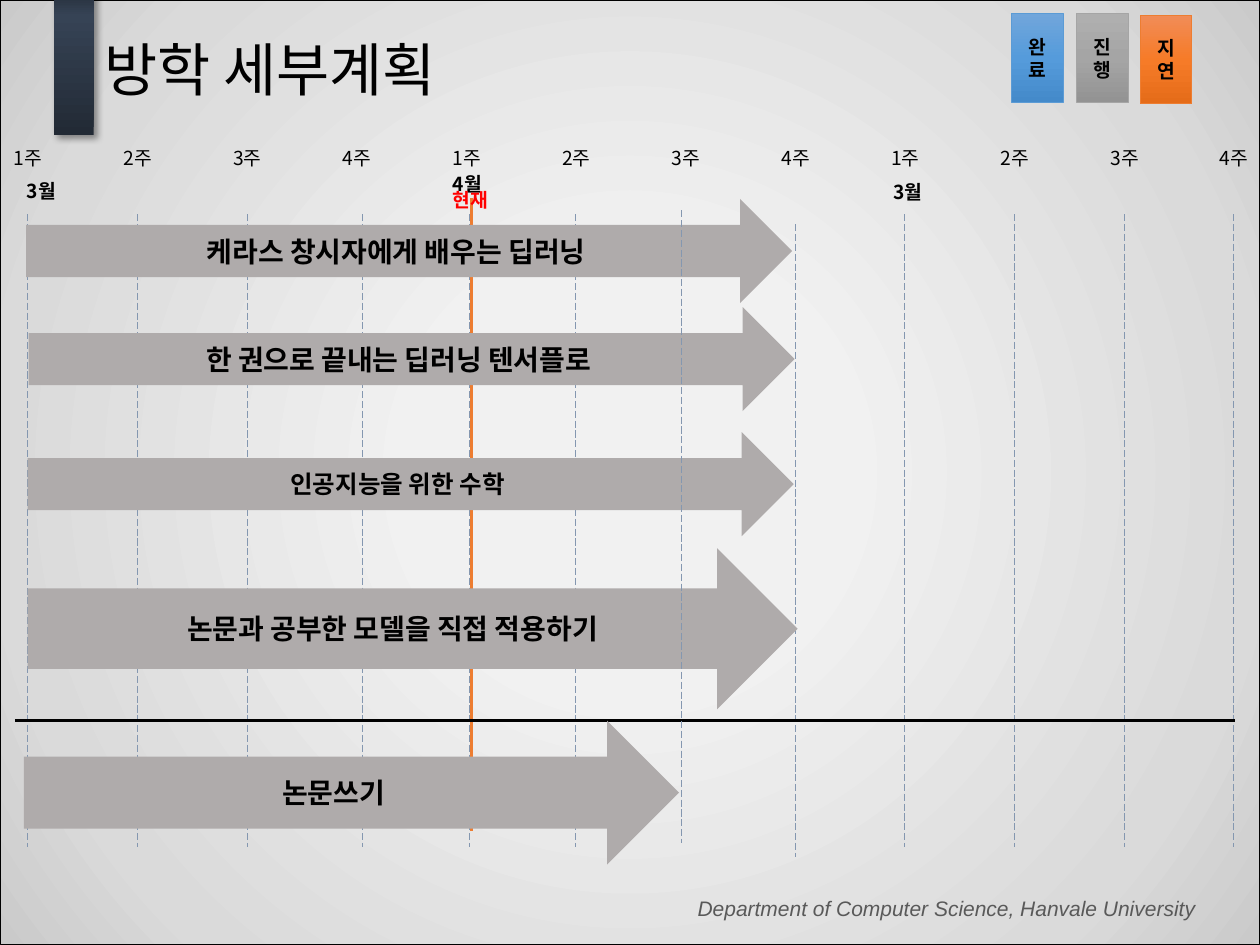
import lxml.etree
import pptx
import pptx.dml.color
import pptx.enum.dml
import pptx.enum.shapes
import pptx.enum.text
import pptx.oxml
import pptx.oxml.ns
import pptx.util

Cm, Pt = pptx.util.Cm, pptx.util.Pt
SHAPE = pptx.enum.shapes.MSO_SHAPE
ALIGN = pptx.enum.text.PP_ALIGN
ANCHOR = pptx.enum.text.MSO_ANCHOR
KOREAN = "Noto Sans CJK KR"
NAMESPACE = pptx.oxml.ns.nsdecls("a")
WEEK_STEP = 2.21


def colour(value):
    return pptx.dml.color.RGBColor.from_string(value)


def write(shape, text, size, shade="000000", bold=False, italic=False,
          font=KOREAN, align=ALIGN.CENTER, anchor=ANCHOR.MIDDLE, side=0.0):
    frame = shape.text_frame
    frame.word_wrap = True
    frame.vertical_anchor = anchor
    frame.margin_left = frame.margin_right = Cm(side)
    para = frame.paragraphs[0]
    para.text = text
    para.alignment = align
    for span in para.runs:
        span.font.size = Pt(size)
        span.font.bold = bold
        span.font.italic = italic
        span.font.color.rgb = colour(shade)
        span.font.name = font
        properties = span.font.latin if hasattr(span.font, "latin") else span.font._element
        east_asian = lxml.etree.SubElement(properties, pptx.oxml.ns.qn("a:ea"))
        east_asian.set("typeface", font)
    return para


def add_label(page, box, text, size, **style):
    label = page.shapes.add_textbox(*map(Cm, box))
    write(label, text, size, **style)


def add_box(page, box, kind=SHAPE.RECTANGLE, fill=None, outline=None):
    shape = page.shapes.add_shape(kind, *map(Cm, box))
    shape.shadow.inherit = False
    if fill:
        shape.fill.solid()
        shape.fill.fore_color.rgb = colour(fill)
    if outline:
        shape.line.color.rgb = colour(outline)
        shape.line.width = Pt(0.5)
    else:
        shape.line.fill.background()
    return shape


def shade_gradient(shape, stops, direction):
    stop_xml = "".join(
        f'<a:gs pos="{position * 1000}"><a:srgbClr val="{value}"/></a:gs>'
        for position, value in stops)
    gradient = pptx.oxml.parse_xml(
        f'<a:gradFill {NAMESPACE} rotWithShape="1">'
        f"<a:gsLst>{stop_xml}</a:gsLst>{direction}</a:gradFill>")
    shape.fill.background()
    plain = shape.element.spPr.find(pptx.oxml.ns.qn("a:noFill"))
    shape.element.spPr.replace(plain, gradient)


def linear(degrees):
    return f'<a:lin ang="{degrees * 60000}" scaled="0"/>'


def add_line(page, start, end, shade, width, dash=None):
    line = page.shapes.add_connector(
        pptx.enum.shapes.MSO_CONNECTOR.STRAIGHT, *map(Cm, start + end))
    line.line.color.rgb = colour(shade)
    line.line.width = Pt(width)
    if dash:
        line.line.dash_style = dash
    lxml.etree.SubElement(line.element.spPr, pptx.oxml.ns.qn("a:effectLst"))


def add_backdrop(page, box):
    left, top, width, height = box
    backdrop = add_box(page, box, outline="000000")
    shade_gradient(
        backdrop, [(27, "F1F1F1"), (80, "DADADA"), (100, "CACACA")],
        '<a:path path="circle"><a:fillToRect l="50000" t="50000" r="50000" b="50000"/></a:path>')
    # Footer
    add_label(page, (left + 4.9, top + height - 1.12, 19.46, 0.76),
              "Department of Computer Science, Hanvale University", 12,
              shade="595959", italic=True, font="Arial", align=ALIGN.RIGHT,
              anchor=ANCHOR.TOP, side=0.25)
    # Ribbon beside the title
    ribbon = add_box(page, (left + 1.09, top - 0.28, 0.8, 3))
    shade_gradient(ribbon, [(0, "222A35"), (80, "364355"), (100, "222A35")], linear(270))
    effects = ribbon.element.spPr.find(pptx.oxml.ns.qn("a:effectLst"))
    effects.append(pptx.oxml.parse_xml(
        f'<a:outerShdw {NAMESPACE} blurRad="50800" dist="38100" dir="2700000">'
        '<a:srgbClr val="000000"><a:alpha val="40000"/></a:srgbClr></a:outerShdw>'))


def place_title(page, box, text):
    title = page.shapes.title
    page.shapes.element.append(title.element)  # bring above the backdrop
    title.left, title.top, title.width, title.height = map(Cm, box)
    title.text_frame.auto_size = pptx.enum.text.MSO_AUTO_SIZE.NONE
    para = write(title, text, 33, align=ALIGN.LEFT, side=0.25)
    para.line_spacing = 0.9


def add_legend(page, box):
    left, top, width, height = box
    states = [
        ("완\v료", 0, 0, "5B9BD5", ("71A6DB", "559BDB", "448ACA")),
        ("진\v행", 1.3, 0, "A5A5A5", ("AFAFAF", "A5A5A5", "939393")),
        ("지\v연", 2.59, 0.03, "ED7D31", ("F18C57", "F67B28", "E56C19")),
    ]
    for text, across, down, outline, shades in states:
        key = add_box(page, (left + across, top + down, width, height), outline=outline)
        shade_gradient(key, list(zip((0, 50, 100), shades)), linear(90))
        write(key, text, 11, bold=True)


def add_timeline(page, box):
    left, top, width, height = box
    # Weeks whose guide sits off the regular grid: (across, down)
    nudges = {3: (0.11, 0), 4: (0.07, 0), 6: (-0.08, -0.08), 7: (0, 0.2)}
    for week in range(12):
        centre = left + week * WEEK_STEP
        across, down = nudges.get(week, (0, 0))
        x, y = centre + across, top + down
        add_line(page, (x, y), (x, y + height), "8497B0", 0.5,
                 pptx.enum.dml.MSO_LINE.LONG_DASH)
        add_label(page, (centre - 0.74, top - 1.5, 1.5, 0.74), f"{week % 4 + 1}주", 11,
                  anchor=ANCHOR.TOP, side=0.25)
    # Months
    for text, x, y in [("3월", -0.97, -0.84), ("4월", 7.62, -0.97), ("3월", 16.5, -0.81)]:
        add_label(page, (left + x, top + y, 2.49, 0.74), text, 11, bold=True,
                  anchor=ANCHOR.TOP, side=0.25)
    # Divider above the writing task
    add_line(page, (left - 0.26, top + 10.21), (left + width + 0.02, top + 10.21),
             "000000", 1.5)
    add_label(page, (left + 8.36, top - 0.64, 1.14, 0.69), "현재", 11,
              shade="FF0000", bold=True)


def add_tasks(page, box):
    left, top = box[:2]
    tasks = [
        ("케라스 창시자에게 배우는 딥러닝", 16, (0, 0, 15.44, 2.1)),
        ("한 권으로 끝내는 딥러닝 텐서플로", 16, (0.05, 2.18, 15.44, 2.1)),
        ("인공지능을 위한 수학", 14, (0.03, 4.7, 15.44, 2.1)),
        ("논문과 공부한 모델을 직접 적용하기", 16, (0.03, 7.04, 15.52, 3.25)),
        ("논문쓰기", 16, (-0.05, 10.52, 13.21, 2.9)),
    ]
    for text, size, (x, y, width, height) in tasks:
        arrow = add_box(page, (left + x, top + y, width, height),
                        SHAPE.RIGHT_ARROW, fill="AFABAB")
        write(arrow, text, size, bold=True)


def main():
    deck = pptx.Presentation()
    deck.slide_width, deck.slide_height = Cm(25.4), Cm(19.05)
    page = deck.slides.add_slide(deck.slide_layouts[5])
    add_backdrop(page, (0, 0, 25.4, 19.05))
    # Marker for today
    add_line(page, (9.5, 3.99), (9.5, 16.76), "ED7D31", 1.5)
    place_title(page, (1.85, -0.38, 21.89, 3.68), "방학 세부계획")
    add_legend(page, (20.4, 0.28, 1.04, 1.78))
    add_timeline(page, (0.56, 4.32, 24.31, 12.75))
    add_tasks(page, (0.53, 4.01, 15.55, 13.42))
    # The seventh week's guide runs over the arrows
    add_line(page, (13.74, 4.24), (13.74, 16.99), "8497B0", 0.5,
             pptx.enum.dml.MSO_LINE.LONG_DASH)
    deck.save("out.pptx")


if __name__ == "__main__":
    main()
